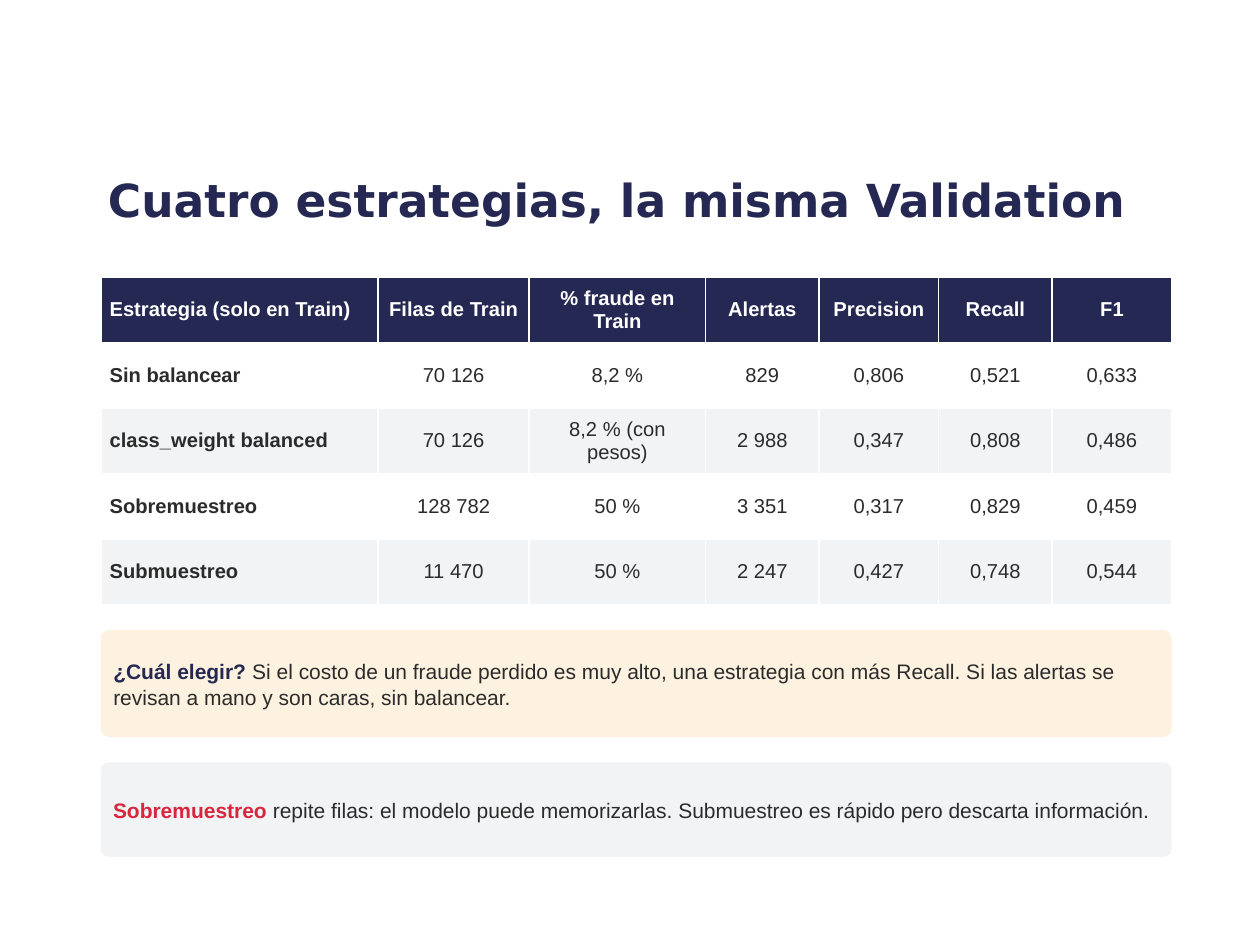
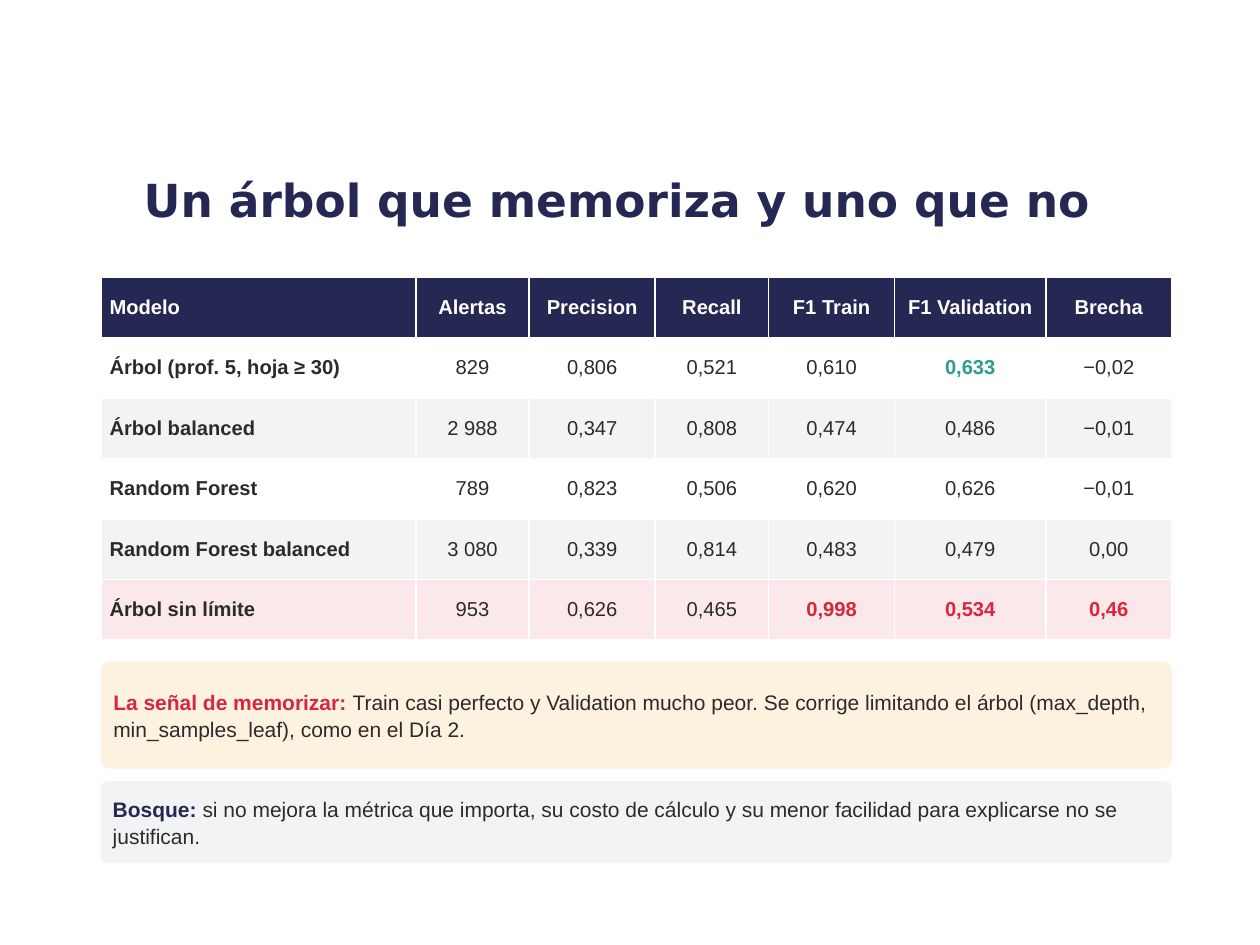
import pptx
import pptx.dml.color
import pptx.enum.shapes
import pptx.enum.text
import pptx.util

Inches = pptx.util.Inches
Pt = pptx.util.Pt
Align = pptx.enum.text.PP_ALIGN
Anchor = pptx.enum.text.MSO_ANCHOR

# Shared look
NAVY, INK, WHITE = "242852", "2B2B2B", "FFFFFF"
RED, TEAL = "D7263D", "2A9D8F"
GRAY, CREAM, PINK = "F2F3F5", "FDF2E0", "FBE8EA"
TITLE_FONT, BODY_FONT = "DejaVu Sans", "Arial"
LEFT, WIDTH, TABLE_TOP = 0.8, 8.5, 2.2


def color(hex_value):
    return pptx.dml.color.RGBColor.from_string(hex_value)


def fill_with(item, hex_value):
    item.fill.solid()
    item.fill.fore_color.rgb = color(hex_value)


def add_run(paragraph, text, size, hex_value, bold=False, font=BODY_FONT):
    run = paragraph.add_run()
    run.text = text
    run.font.name = font
    run.font.size = Pt(size)
    run.font.bold = bold
    run.font.color.rgb = color(hex_value)


def set_margins(item, horizontal, vertical):
    item.margin_left = item.margin_right = Inches(horizontal)
    item.margin_top = item.margin_bottom = Inches(vertical)


def add_titled_slide(presentation, text):
    slide = presentation.slides.add_slide(presentation.slide_layouts[5])
    title = slide.shapes.title
    title.left, title.top = Inches(0.75), Inches(1.18)
    title.width, title.height = Inches(8.3), Inches(0.8)
    frame = title.text_frame
    frame.auto_size = pptx.enum.text.MSO_AUTO_SIZE.NONE
    frame.vertical_anchor = Anchor.MIDDLE
    paragraph = frame.paragraphs[0]
    paragraph.alignment = Align.CENTER
    add_run(paragraph, text, 26, NAVY, True, TITLE_FONT)
    return slide


def add_results_table(slide, rows, column_widths, row_height, highlights=None, alert_row=None):
    """highlights maps (row, column) to the colour of a bold value."""
    highlights = highlights or {}
    table = slide.shapes.add_table(
        len(rows), len(column_widths), Inches(LEFT), Inches(TABLE_TOP),
        Inches(WIDTH), Inches(row_height * len(rows))).table
    for column, width in zip(table.columns, column_widths):
        column.width = Inches(width)
    for row_index, values in enumerate(rows):
        table.rows[row_index].height = Inches(row_height)
        if row_index == 0:
            background = NAVY
        elif row_index == alert_row:
            background = PINK
        else:
            background = WHITE if row_index % 2 else GRAY
        for column_index, value in enumerate(values):
            cell = table.cell(row_index, column_index)
            fill_with(cell, background)
            cell.vertical_anchor = Anchor.MIDDLE
            set_margins(cell, 0.07, 0.03)
            paragraph = cell.text_frame.paragraphs[0]
            paragraph.alignment = Align.CENTER if column_index else Align.LEFT
            position = (row_index, column_index)
            text_color = highlights.get(position, INK if row_index else WHITE)
            bold = row_index == 0 or column_index == 0 or position in highlights
            add_run(paragraph, value, 11.5, text_color, bold)


def add_callout(slide, top, height, background, lead, lead_color, text):
    shape = slide.shapes.add_shape(
        pptx.enum.shapes.MSO_SHAPE.ROUNDED_RECTANGLE,
        Inches(LEFT), Inches(top), Inches(WIDTH), Inches(height))
    shape.adjustments[0] = 0.08
    shape.shadow.inherit = False
    fill_with(shape, background)
    shape.line.fill.background()
    frame = shape.text_frame
    frame.word_wrap = True
    frame.vertical_anchor = Anchor.MIDDLE
    set_margins(frame, 0.08, 0.08)
    paragraph = frame.paragraphs[0]
    paragraph.alignment = Align.LEFT
    paragraph.line_spacing = 1.05
    paragraph.space_after = Pt(3)
    add_run(paragraph, lead + " ", 12, lead_color, True)
    add_run(paragraph, text, 12, INK)


def add_strategies_slide(presentation):
    slide = add_titled_slide(presentation, "Cuatro estrategias, la misma Validation")
    rows = [
        ("Estrategia (solo en Train)", "Filas de Train", "% fraude en Train",
         "Alertas", "Precision", "Recall", "F1"),
        ("Sin balancear", "70 126", "8,2 %", "829", "0,806", "0,521", "0,633"),
        ("class_weight balanced", "70 126", "8,2 % (con pesos)",
         "2 988", "0,347", "0,808", "0,486"),
        ("Sobremuestreo", "128 782", "50 %", "3 351", "0,317", "0,829", "0,459"),
        ("Submuestreo", "11 470", "50 %", "2 247", "0,427", "0,748", "0,544"),
    ]
    add_results_table(slide, rows, (2.2, 1.2, 1.4, 0.9, 0.95, 0.9, 0.95), 0.52)
    add_callout(slide, 5, 0.85, CREAM, "¿Cuál elegir?", NAVY,
                "Si el costo de un fraude perdido es muy alto, una estrategia con más Recall. "
                "Si las alertas se revisan a mano y son caras, sin balancear.")
    add_callout(slide, 6.05, 0.75, GRAY, "Sobremuestreo", RED,
                "repite filas: el modelo puede memorizarlas. "
                "Submuestreo es rápido pero descarta información.")


def add_overfitting_slide(presentation):
    slide = add_titled_slide(presentation, "Un árbol que memoriza y uno que no")
    rows = [
        ("Modelo", "Alertas", "Precision", "Recall", "F1 Train", "F1 Validation", "Brecha"),
        ("Árbol (prof. 5, hoja ≥ 30)", "829", "0,806", "0,521", "0,610", "0,633", "−0,02"),
        ("Árbol balanced", "2 988", "0,347", "0,808", "0,474", "0,486", "−0,01"),
        ("Random Forest", "789", "0,823", "0,506", "0,620", "0,626", "−0,01"),
        ("Random Forest balanced", "3 080", "0,339", "0,814", "0,483", "0,479", "0,00"),
        ("Árbol sin límite", "953", "0,626", "0,465", "0,998", "0,534", "0,46"),
    ]
    highlights = {(1, 5): TEAL, (5, 4): RED, (5, 5): RED, (5, 6): RED}
    add_results_table(slide, rows, (2.5, 0.9, 1, 0.9, 1, 1.2, 1), 0.48,
                      highlights, alert_row=5)
    add_callout(slide, 5.25, 0.85, CREAM, "La señal de memorizar:", RED,
                "Train casi perfecto y Validation mucho peor. Se corrige limitando el árbol "
                "(max_depth, min_samples_leaf), como en el Día 2.")
    add_callout(slide, 6.2, 0.65, GRAY, "Bosque:", NAVY,
                "si no mejora la métrica que importa, su costo de cálculo y su menor "
                "facilidad para explicarse no se justifican.")


def main():
    presentation = pptx.Presentation()
    presentation.slide_width = Inches(10)
    presentation.slide_height = Inches(7.5)
    add_strategies_slide(presentation)
    add_overfitting_slide(presentation)
    presentation.save("out.pptx")


if __name__ == "__main__":
    main()
